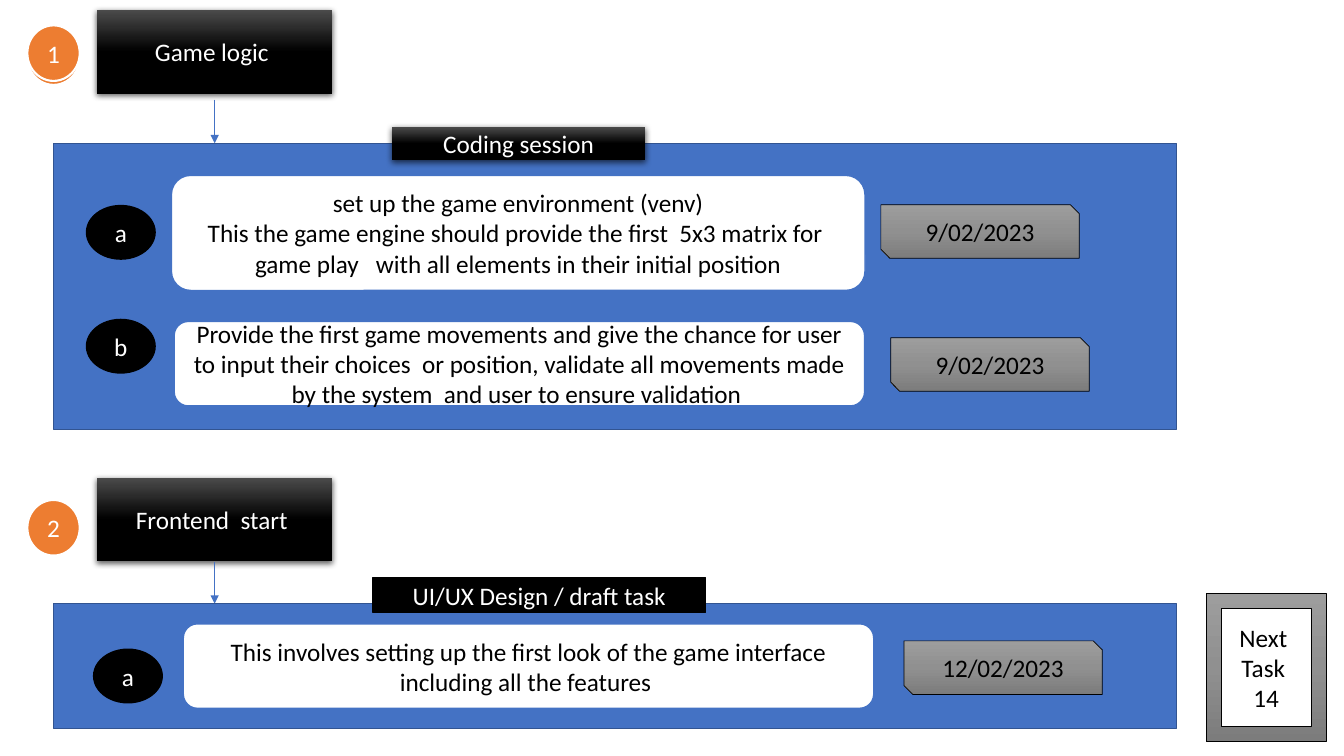
from lxml.etree import SubElement
from pptx import Presentation
from pptx.dml.color import RGBColor
from pptx.enum.shapes import MSO_CONNECTOR, MSO_SHAPE
from pptx.enum.text import MSO_ANCHOR, PP_ALIGN
from pptx.oxml.ns import qn
from pptx.util import Cm, Pt

INK = {
    "black": "000000", "white": "FFFFFF", "blue": "4472C4",
    "navy": "325491", "orange": "ED7D31",
}
FADE = {
    "dark": ("4B4B4B", "000000", "000000"),
    "gray": ("9D9D9D", "909090", "7C7C7C"),
}


class Board:
    font = "Calibri"
    size = 18

    def __init__(self, slide):
        self.slide = slide

    def color(self, name):
        return RGBColor.from_string(INK[name])

    def shape(self, kind, box, fill, line=None, width=1, text="", ink="white"):
        item = self.slide.shapes.add_shape(kind, *map(Cm, box))
        item.shadow.inherit = False
        if fill in FADE:
            self.fade(item, FADE[fill])
        else:
            item.fill.solid()
            item.fill.fore_color.rgb = self.color(fill)
        if line:
            item.line.color.rgb = self.color(line)
            item.line.width = Pt(width)
        else:
            item.line.fill.background()
        if text:
            self.label(item.text_frame, text, ink)
        return item

    def label(self, frame, text, ink):
        frame.text = text
        frame.word_wrap = True
        frame.vertical_anchor = MSO_ANCHOR.MIDDLE
        for para in frame.paragraphs:
            para.alignment = PP_ALIGN.CENTER
            for run in para.runs:
                run.font.name = self.font
                run.font.size = Pt(self.size)
                run.font.color.rgb = self.color(ink)

    def fade(self, item, stops):
        item.fill.gradient()
        item.fill.gradient_angle = 270
        group = item.element.spPr.find(qn("a:gradFill")).find(qn("a:gsLst"))
        for old in list(group):
            group.remove(old)
        for place, tone in enumerate(stops):
            stop = SubElement(group, qn("a:gs"), pos=str(place * 50000))
            SubElement(stop, qn("a:srgbClr"), val=tone)

    def glow(self, item):
        effect = item.element.spPr.find(qn("a:effectLst"))
        cast = SubElement(effect, qn("a:outerShdw"), blurRad=str(Pt(4.5)),
                          dist=str(Pt(1.5)), dir="5400000", algn="ctr",
                          rotWithShape="0")
        tone = SubElement(cast, qn("a:srgbClr"), val=INK["black"])
        SubElement(tone, qn("a:alpha"), val="63000")

    def card(self, box, text):
        item = self.shape(MSO_SHAPE.RECTANGLE, box, "dark", text=text)
        self.glow(item)
        return item

    def badge(self, top, text):
        self.shape(MSO_SHAPE.OVAL, (0.69, top, 1.32, 1.4), "orange",
                   "white", 1.5, text)

    def panel(self, top, high):
        self.shape(MSO_SHAPE.RECTANGLE, (1.35, top, 28.3, high), "blue", "navy")

    def banner(self, box, text):
        self.shape(MSO_SHAPE.RECTANGLE, box, "black", "black", text=text)

    def letter(self, left, top, text):
        self.shape(MSO_SHAPE.OVAL, (left, top, 1.73, 1.35), "black",
                   "black", text=text)

    def note(self, box, text):
        self.shape(MSO_SHAPE.ROUNDED_RECTANGLE, box, "white", "blue",
                   text=text, ink="black")

    def date(self, left, top, text):
        self.shape(MSO_SHAPE.SNIP_2_DIAG_RECTANGLE, (left, top, 5, 1.35),
                   "gray", "black", 0.5, text, "black")

    def frame(self, box, text):
        self.shape(MSO_SHAPE.FRAME, box, "gray", "black", 0.5, text, "black")

    def arrow(self, top, end, start=None):
        line = self.slide.shapes.add_connector(
            MSO_CONNECTOR.STRAIGHT, Cm(5.41), Cm(top), Cm(5.41), Cm(end))
        if start is not None:
            line.begin_connect(start, 2)
        line.line.color.rgb = self.color("blue")
        line.line.width = Pt(0.5)
        props = line.element.spPr
        SubElement(props.find(qn("a:ln")), qn("a:tailEnd"), type="triangle")
        SubElement(props, qn("a:effectLst"))


def main():
    deck = Presentation()
    deck.slide_width, deck.slide_height = Cm(33.87), Cm(19.05)
    board = Board(deck.slides.add_slide(deck.slide_layouts[6]))

    board.card((2.44, 0.25, 5.94, 2.11), "Game logic ")
    for top in (0.74, 0.64):
        board.badge(top, "1")
    board.arrow(2.51, 3.61)
    board.panel(3.61, 7.21)
    board.letter(2.18, 5.18, "a")
    board.note((4.32, 4.42, 17.48, 2.9),
               " set up the game environment (venv) \n"
               "This the game engine should provide the first  5x3 matrix for  "
               "game play   with all elements in their initial position")
    board.date(22.2, 5.16, "9/02/2023")
    board.letter(2.18, 8.05, "b")
    board.note((4.39, 8.1, 17.4, 2.13),
               "Provide the first game movements and give the chance for user "
               "to input their choices  or position, validate all movements "
               "made by the system  and user to ensure validation ")
    board.date(22.45, 8.51, "9/02/2023")
    board.card((9.88, 3.2, 6.38, 0.84), "Coding session")

    board.badge(12.6, "2")
    front = board.card((2.44, 12.04, 5.94, 2.11), "Frontend  start ")
    board.arrow(14.15, 15.21, front)
    board.panel(15.21, 3.15)
    board.banner((9.4, 14.55, 8.38, 0.89), "UI/UX Design / draft task")
    board.letter(2.36, 16.36, "a")
    board.note((4.62, 15.72, 17.4, 2.13),
               "This involves setting up the first look of the game interface "
               "including all the features ")
    board.date(22.78, 16.15, "12/02/2023")
    board.frame((30.4, 14.96, 3.02, 3.73), "Next \nTask \n14")
    deck.save("out.pptx")


if __name__ == "__main__":
    main()
